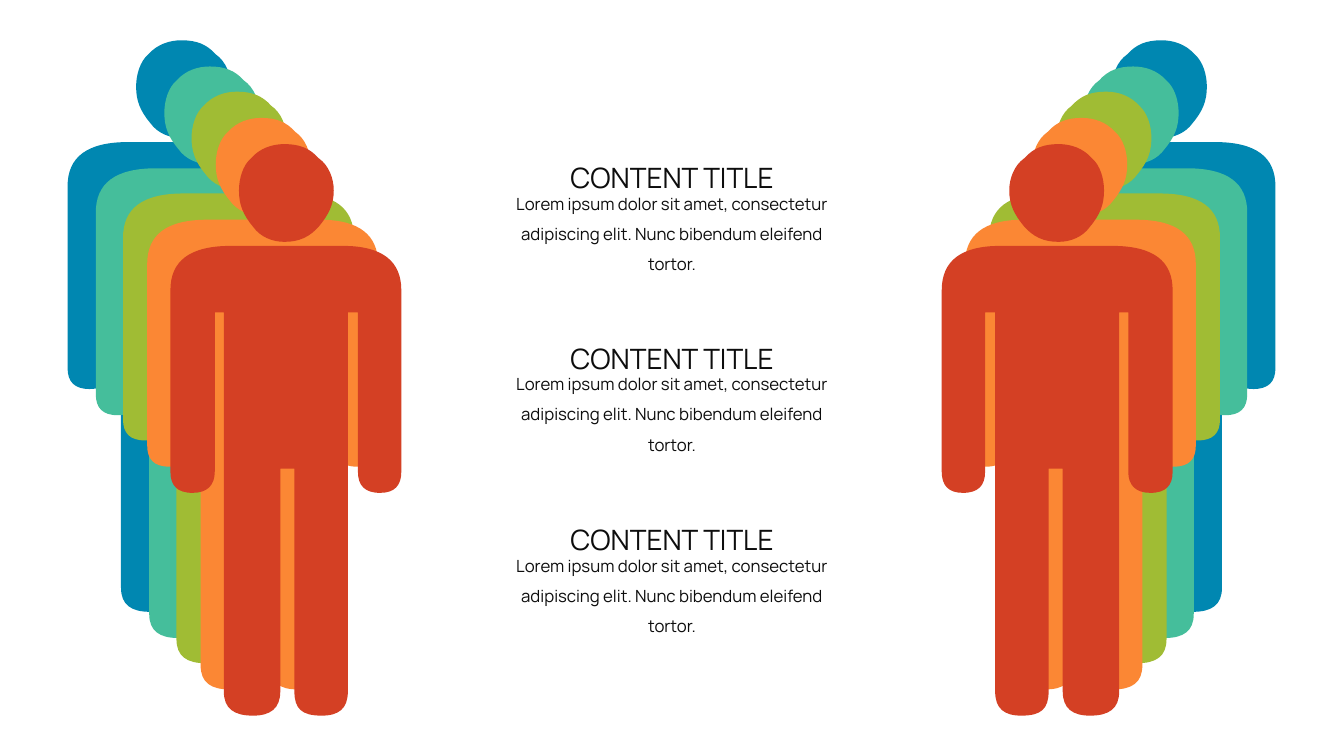
from lxml.etree import SubElement
from pptx import Presentation
from pptx.dml.color import RGBColor
from pptx.enum.text import MSO_AUTO_SIZE as AutoSize, PP_ALIGN as Align
from pptx.oxml.ns import qn
from pptx.util import Inches, Pt

# Content
TITLE = "CONTENT TITLE"
BODY = ("Lorem ipsum dolor sit amet, consectetur adipiscing elit. "
        "Nunc bibendum eleifend tortor.")
BLOCKS = [(1.38, TITLE, BODY), (3.17, TITLE, BODY), (4.97, TITLE, BODY)]

# Left and top of each person in the left row, back to front
PERSON_PLACES = [(0.67, 0.4), (0.95, 0.66), (1.22, 0.91), (1.46, 1.17), (1.69, 1.43)]

# Outlines in inches: a 2-tuple is a corner, a 6-tuple is a Bezier curve
HEAD = [
    (1.62, 0.46),
    (1.62, 0.6, 1.57, 0.7, 1.47, 0.82), (1.38, 0.92, 1.28, 0.97, 1.13, 0.97),
    (1.01, 0.97, 0.89, 0.92, 0.82, 0.82), (0.72, 0.7, 0.68, 0.6, 0.68, 0.46),
    (0.68, 0.34, 0.72, 0.21, 0.8, 0.14), (0.89, 0.04, 1.01, 0, 1.13, 0),
    (1.28, 0, 1.38, 0.04, 1.47, 0.14), (1.57, 0.21, 1.62, 0.34, 1.62, 0.46),
]
TORSO = [
    (2.29, 3.25),
    (2.29, 3.39, 2.22, 3.46, 2.08, 3.46), (1.93, 3.46, 1.86, 3.39, 1.86, 3.25),
    (1.86, 1.67), (1.76, 1.67), (1.76, 5.43),
    (1.76, 5.6, 1.67, 5.67, 1.5, 5.67), (1.3, 5.67, 1.23, 5.6, 1.23, 5.43),
    (1.23, 3.22), (1.09, 3.22), (1.09, 5.43),
    (1.09, 5.6, 0.99, 5.67, 0.82, 5.67), (0.63, 5.67, 0.53, 5.6, 0.53, 5.43),
    (0.53, 1.67), (0.44, 1.67), (0.44, 3.25),
    (0.44, 3.39, 0.36, 3.46, 0.22, 3.46), (0.07, 3.46, 0, 3.39, 0, 3.25),
    (0, 1.45), (0, 1.16, 0.19, 1.01, 0.6, 1.01),
    (1.71, 1.01), (2.1, 1.01, 2.29, 1.16, 2.29, 1.45),
]

THEME = {
    "font": "Manrope", "text": "0D0D0D", "title_size": 20, "body_size": 12,
    "people": ["0087B1", "45BE9B", "A0BC34", "FB8734", "D44024"],
}
SLIDE_WIDTH, SLIDE_HEIGHT = 13.33, 7.5
PERSON_WIDTH = 2.29
ROWS_SPAN = 11.03  # left edges of a mirrored pair add up to this
TEXT_LEFT, TEXT_WIDTH = 4.96, 3.41
TITLE_HEIGHT, BODY_HEIGHT, BODY_OFFSET = 0.55, 1.01, 0.39


def segment_points(segment, mirrored):
    """Points of one segment in the person's own frame."""
    return [(Inches(PERSON_WIDTH - x if mirrored else x), Inches(y))
            for x, y in zip(segment[::2], segment[1::2])]


def bend_curves(shape, mirrored):
    """Replace the straight chords of curved segments with Bezier curves."""
    lines = list(shape.element.iter(qn("a:lnTo")))
    for line, segment in zip(lines, HEAD[1:] + TORSO[1:]):
        if len(segment) == 6:
            curve = SubElement(line.getparent(), qn("a:cubicBezTo"))
            for x, y in segment_points(segment, mirrored):
                SubElement(curve, qn("a:pt"), x=str(int(x)), y=str(int(y)))
            line.getparent().replace(line, curve)


def add_person(group, left, top, color, mirrored):
    head, torso = ([segment_points(segment, mirrored)[-1] for segment in outline]
                   for outline in (HEAD, TORSO))
    builder = group.shapes.build_freeform(*head[0])
    builder.add_line_segments(head[1:], close=True)
    builder.move_to(*torso[0])
    builder.add_line_segments(torso[1:], close=True)
    shape = builder.convert_to_shape(Inches(left), Inches(top))
    bend_curves(shape, mirrored)
    shape.shadow.inherit = False
    shape.fill.solid()
    shape.fill.fore_color.rgb = RGBColor.from_string(color)
    shape.line.fill.background()


def add_text(slide, text, *, top, height, size):
    box = slide.shapes.add_textbox(Inches(TEXT_LEFT), Inches(top),
                                   Inches(TEXT_WIDTH), Inches(height))
    frame = box.text_frame
    frame.word_wrap = True
    frame.auto_size = AutoSize.SHAPE_TO_FIT_TEXT
    paragraph = frame.paragraphs[0]
    paragraph.alignment = Align.CENTER
    paragraph.line_spacing = 1.5
    run = paragraph.add_run()
    run.text = text
    run.font.name = THEME["font"]
    run.font.size = Pt(size)
    run.font.color.rgb = RGBColor.from_string(THEME["text"])


def main():
    presentation = Presentation()
    presentation.slide_width = Inches(SLIDE_WIDTH)
    presentation.slide_height = Inches(SLIDE_HEIGHT)
    slide = presentation.slides.add_slide(presentation.slide_layouts[6])

    # Two mirrored rows of people
    for mirrored in (False, True):
        group = slide.shapes.add_group_shape()
        for (left, top), color in zip(PERSON_PLACES, THEME["people"]):
            add_person(group, ROWS_SPAN - left if mirrored else left, top, color, mirrored)

    # Text blocks between the rows
    for top, title, body in BLOCKS:
        add_text(slide, body, top=top + BODY_OFFSET, height=BODY_HEIGHT,
                 size=THEME["body_size"])
        add_text(slide, title, top=top, height=TITLE_HEIGHT, size=THEME["title_size"])

    presentation.save("out.pptx")


if __name__ == "__main__":
    main()
